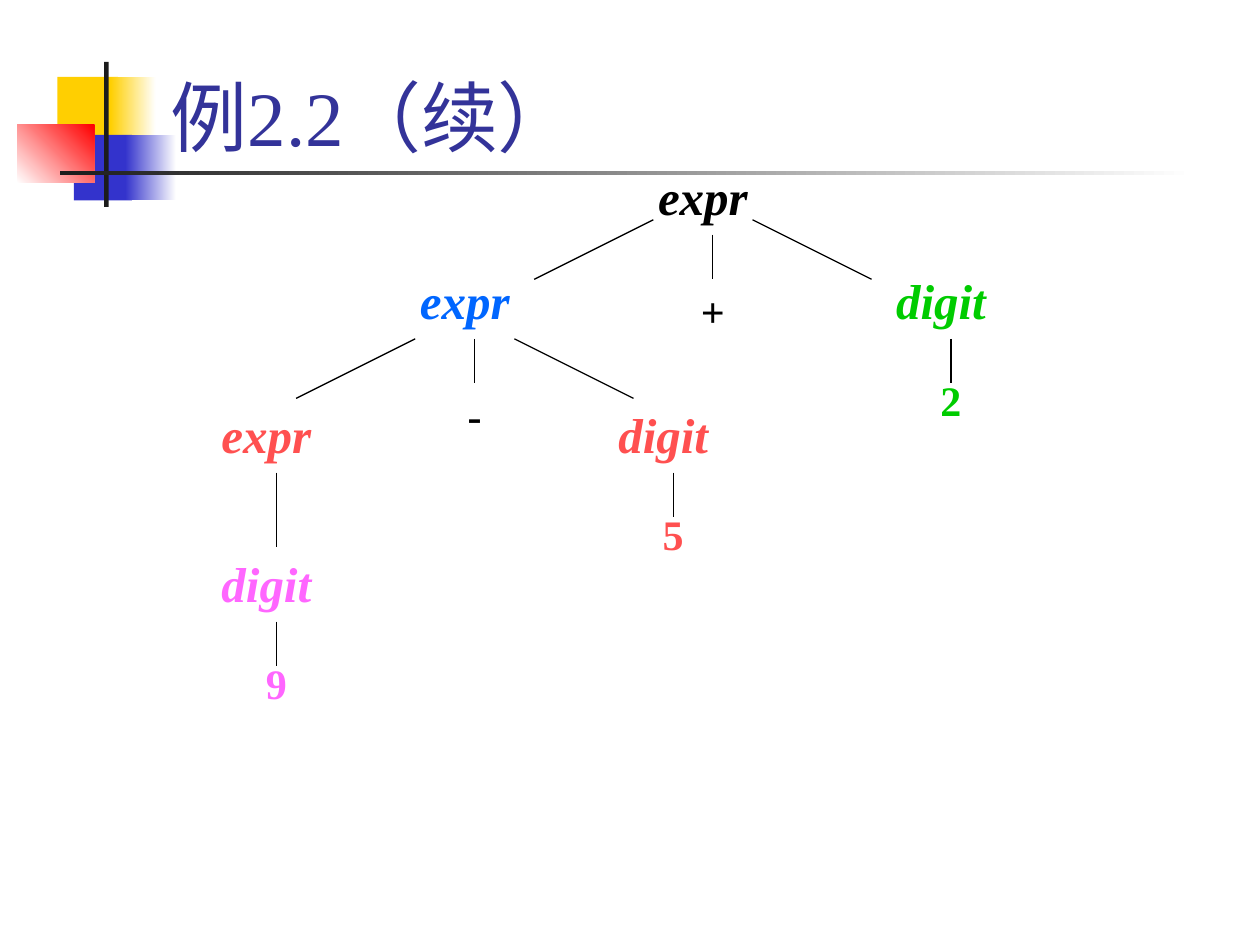
from pptx import Presentation
from pptx.dml.color import RGBColor as RGB
from pptx.enum.shapes import MSO_CONNECTOR as LINK, MSO_SHAPE as SHAPE
from pptx.enum.text import MSO_ANCHOR as ANCHOR, PP_ALIGN as ALIGN
from pptx.oxml.ns import qn
from pptx.util import Cm, Pt

BLACK = RGB(0, 0, 0)
WHITE = RGB(255, 255, 255)
INK = RGB(0x1C, 0x1C, 0x1C)
NAVY = RGB(0x33, 0x33, 0x99)
INDIGO = RGB(0x33, 0x33, 0xCC)
GOLD = RGB(0xFF, 0xCF, 0x01)
RED = RGB(0xFF, 0, 0)
GREEN = RGB(0, 0xCC, 0)
BLUE = RGB(0, 0x66, 0xFF)
CORAL = RGB(0xFF, 0x50, 0x50)
PINK = RGB(0xFF, 0x66, 0xFF)
FONT = "Times New Roman"


def add_text(slide, text, x, y, w, h, size=24, color=BLACK, bold=True,
             italic=False, align=ALIGN.CENTER, anchor=ANCHOR.MIDDLE):
    """Add a text box of one line."""
    frame = slide.shapes.add_textbox(Cm(x), Cm(y), Cm(w), Cm(h)).text_frame
    frame.word_wrap = True
    frame.vertical_anchor = anchor
    para = frame.paragraphs[0]
    para.alignment = align
    run = para.add_run()
    run.text = text
    font = run.font
    font.name, font.size, font.color.rgb = FONT, Pt(size), color
    font.bold, font.italic = bold, italic


def add_block(slide, x, y, w, h, start, end=None, angle=0):
    """Add a plain rectangle, or a blended one when an end colour is given."""
    block = slide.shapes.add_shape(SHAPE.RECTANGLE, Cm(x), Cm(y), Cm(w), Cm(h))
    block.shadow.inherit = False
    block.line.fill.background()
    fill = block.fill
    if end is None:
        fill.solid()
        fill.fore_color.rgb = start
        return
    fill.gradient()
    fill.gradient_angle = angle
    for stop, color in zip(fill.gradient_stops, (start, end)):
        stop.color.rgb = color


def add_line(slide, x1, y1, x2, y2):
    """Add a thin black branch."""
    line = slide.shapes.add_connector(LINK.STRAIGHT, Cm(x1), Cm(y1), Cm(x2), Cm(y2))
    line.line.color.rgb = BLACK
    line.line.width = Pt(0.75)
    props = line._element.spPr
    props.append(props.makeelement(qn("a:effectLst"), {}))


def add_header(slide, x, y):
    """Place the coloured blocks, the rules and the title."""
    blocks = [
        (0.81, 0.3, 1.22, 1.32, GOLD),
        (1.88, 0.3, 0.91, 1.32, GOLD, WHITE),
        (1.14, 1.47, 1.17, 1.32, INDIGO),
        (2.18, 1.47, 1.02, 1.32, INDIGO, WHITE),
        (0, 1.27, 1.55, 1.17, WHITE, RED, 45),
        (1.75, 0, 0.09, 2.92, INK),
        (0.86, 2.2, 22.86, 0.08, INK, WHITE),
    ]
    for dx, dy, *rest in blocks:
        add_block(slide, x + dx, y + dy, *rest)
    add_text(slide, "例2.2（续）", x + 2.84, y - 1.04, 21.64, 3.18, size=44,
             color=NAVY, bold=False, align=ALIGN.LEFT, anchor=ANCHOR.BOTTOM)


def add_tree(slide, x, y):
    """Place the parse tree; x is its first column and y its top."""
    step, drop = 4, 1.5
    words = [
        ("expr", 2.2, 0, BLACK), ("expr", 1, 2.1, BLUE),
        ("digit", 3.4, 2.1, GREEN), ("expr", 0, 4.8, CORAL),
        ("digit", 2, 4.8, CORAL), ("digit", 0, 7.8, PINK),
    ]
    leaves = [
        ("+", 2.2, 2.4, BLACK), ("-", 1, 4.5, BLACK), ("2", 3.4, 4.2, GREEN),
        ("5", 2, 6.9, CORAL), ("9", 0, 9.9, PINK),
    ]
    for word, col, top, color in words:
        mid = x + col * step
        add_text(slide, word, mid - 2.4, y + top, 4.4, 1.45,
                 size=28, color=color, italic=True)
        start = y + top + drop
        size = 1.5 if (col, top) == (0, 4.8) else 0.9
        add_line(slide, mid, start, mid, start + size)
    for leaf, col, top, color in leaves:
        add_text(slide, leaf, x + col * step - 1.2, y + top, 2.4, 1.27, color=color)
    for col, top in ((2.2, 1.2), (1, 3.6)):
        for side in (-1, 1):
            near = x + col * step - 0.2 + side
            add_line(slide, near, y + top, near + side * 2.4, y + top + 1.2)


def main():
    """Build and save the slide."""
    deck = Presentation()
    deck.slide_width, deck.slide_height = Cm(25.4), Cm(19.05)
    slide = deck.slides.add_slide(deck.slide_layouts[6])
    add_header(slide, 0.35, 1.25)
    add_tree(slide, 5.57, 3.23)
    deck.save("out.pptx")


main()
